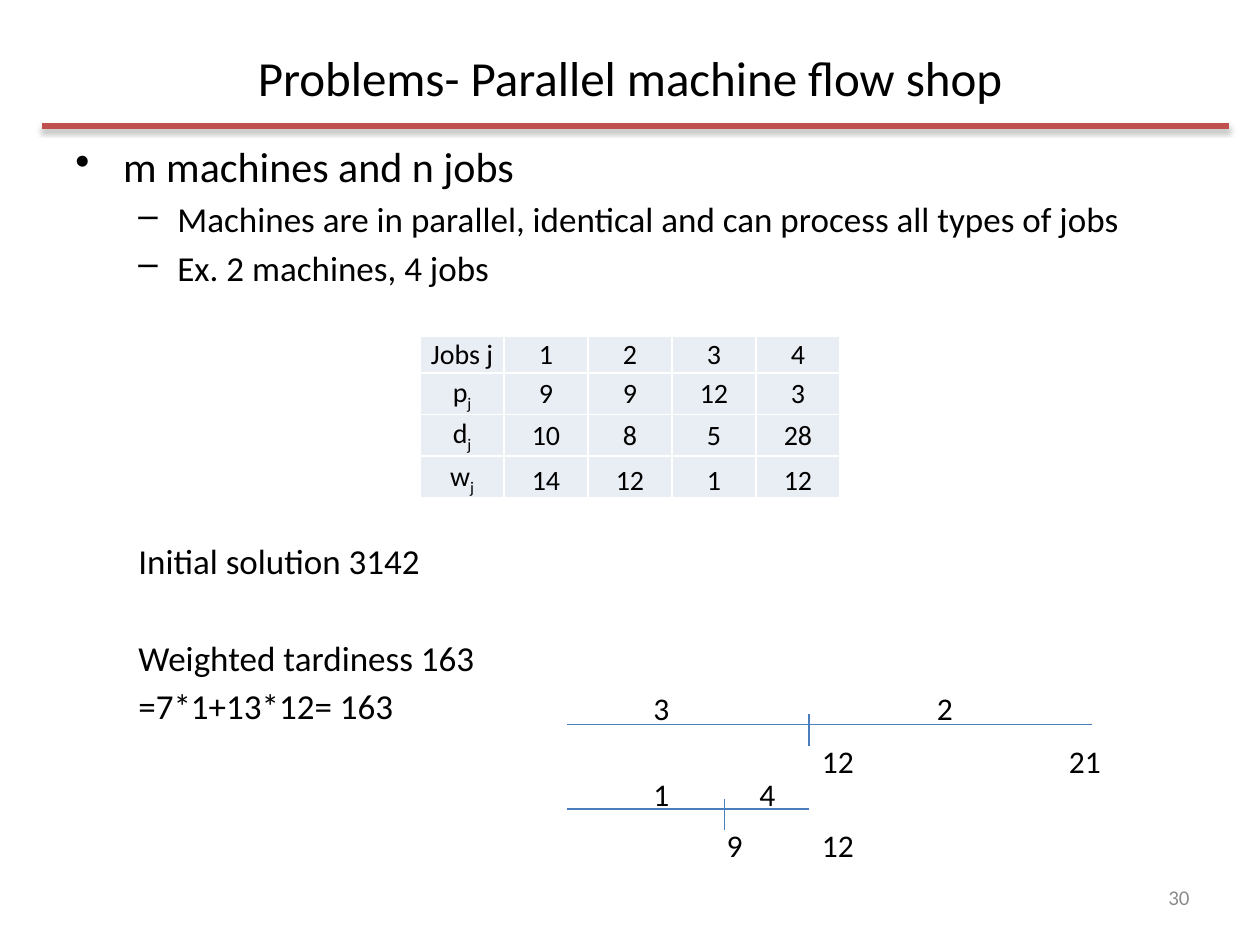
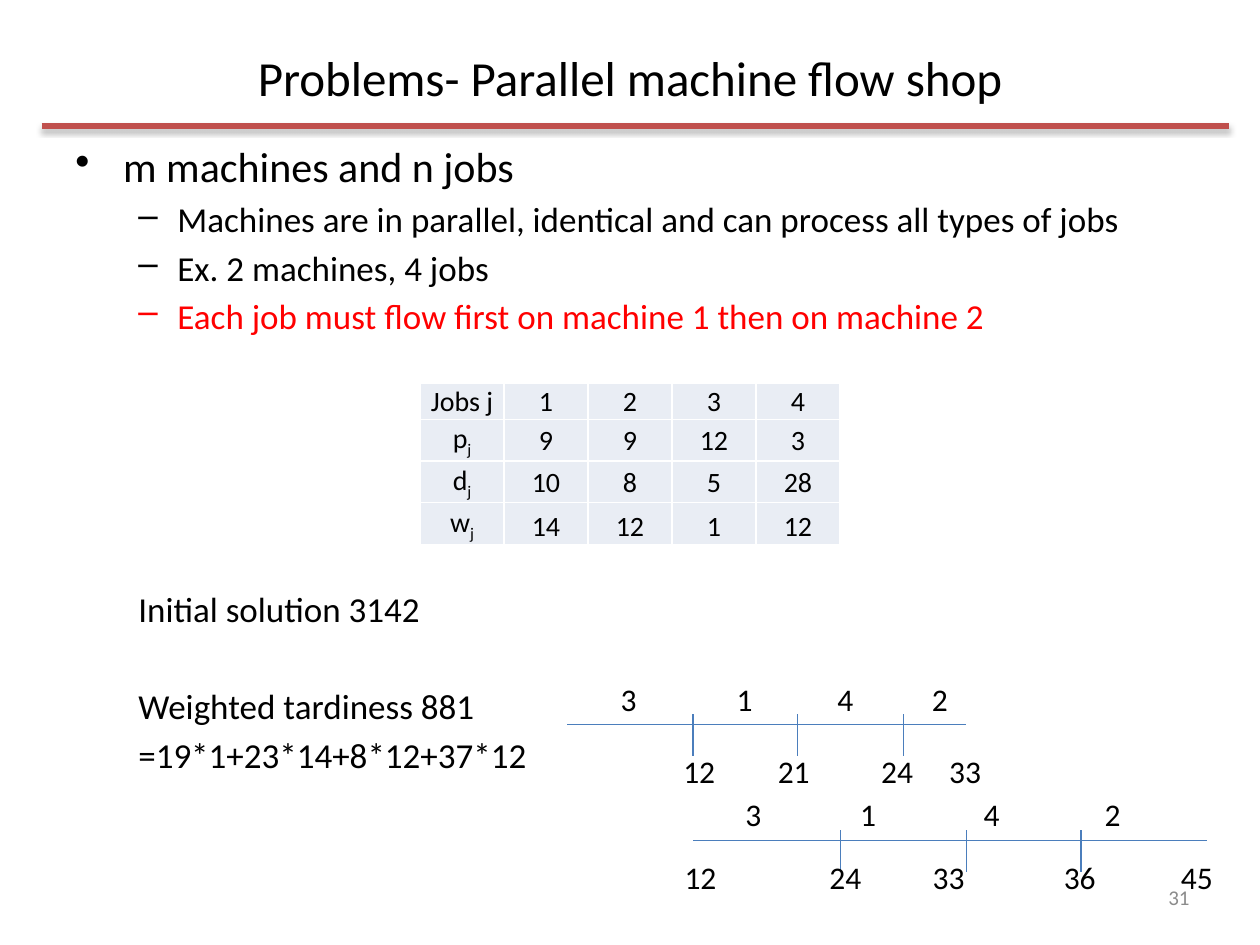
from lxml import etree
from pptx import Presentation
from pptx import util as u
from pptx.dml.color import RGBColor
from pptx.enum import shapes, text
from pptx.oxml.ns import qn

# Shared content and style
FONT = "Calibri"
BLACK, RED, GREY, RULE, BLUE, CELL, WHITE = (
    "000000", "FF0000", "8C8C8C", "C0504D", "4B7EBC", "E9EDF4", "FFFFFF")
WIDTH, HEIGHT = 10, 7.5
TITLE = "Problems- Parallel machine flow shop"
LINE_GAP, BLANK_LINE = 3.6, 28  # points
LEVELS = {  # margin, first-line indent (inches), bullet, size
    "main": (0.38, -0.38, "•", 24),
    "sub": (0.81, -0.31, "–", 20),
    "plain": (0.5, 0, None, 20),
}
BULLETS = [
    ("main", "m machines and n jobs"),
    ("sub", "Machines are in parallel, identical and can process all types of jobs"),
    ("sub", "Ex. 2 machines, 4 jobs"),
]
JOBS = [
    ["Jobs j", 1, 2, 3, 4],
    ["p_j", 9, 9, 12, 3],
    ["d_j", 10, 8, 5, 28],
    ["w_j", 14, 12, 1, 12],
]
COLUMN_WIDTH, ROW_HEIGHTS = WIDTH / 15, [0.29, 0.33, 0.33, 0.33]

# Content of each slide; labels on a machine's line are (text, centre x)
SLIDES = [
    dict(number=30, table_top=2.67, extra=[], tick_drop=0.17,
         results=["Initial solution 3142", "Weighted tardiness 163", "=7*1+13*12= 163"],
         machines=[
             dict(y=5.75, span=(4.5, 8.67), ticks=[6.42], rise=0.13, drop=0.29,
                  jobs=[("3", 5.25), ("2", 7.5)], times=[("12", 6.65), ("21", 8.61)]),
             dict(y=6.42, span=(4.5, 6.42), ticks=[5.75], rise=0.12, drop=0.29,
                  jobs=[("1", 5.25), ("4", 6.09)], times=[("9", 5.83), ("12", 6.65)]),
         ]),
    dict(number=31, table_top=3.04, tick_drop=0.25,
         extra=["Each job must flow first on machine 1 then on machine 2"],
         results=["Initial solution 3142", "Weighted tardiness 881", "=19*1+23*14+8*12+37*12"],
         machines=[
             dict(y=5.75, span=(4.5, 7.67), ticks=[5.5, 6.33, 7.17], rise=0.2, drop=0.37,
                  jobs=[("3", 4.99), ("1", 5.91), ("4", 6.71), ("2", 7.46)],
                  times=[("12", 5.55), ("21", 6.3), ("24", 7.12), ("33", 7.66)]),
             dict(y=6.67, span=(5.5, 9.58), ticks=[6.67, 7.67, 8.58], rise=0.21, drop=0.29,
                  jobs=[("3", 5.98), ("1", 6.89), ("4", 7.87), ("2", 8.83)],
                  times=[("12", 5.56), ("24", 6.71), ("33", 7.53), ("36", 8.57), ("45", 9.5)]),
         ]),
]


def color(value):
    return RGBColor.from_string(value)


def child(parent, tag, **attributes):
    return etree.SubElement(parent, qn(tag), {k: str(v) for k, v in attributes.items()})


def write(paragraph, content, size=18, tint=BLACK, align=text.PP_ALIGN.LEFT):
    """Fill a paragraph; whatever follows an underscore becomes a subscript."""
    paragraph.alignment = align
    for index, part in enumerate(content.split("_")):
        run = paragraph.add_run()
        run.text = part
        run.font.name, run.font.size = FONT, u.Pt(size)
        run.font.color.rgb = color(tint)
        if index:
            run.font._element.set("baseline", "-25000")


def add_box(slide, left, top, width, height, wrap=True, anchor=text.MSO_ANCHOR.TOP):
    shape = slide.shapes.add_textbox(*map(u.Inches, (left, top, width, height)))
    frame = shape.text_frame
    frame.word_wrap, frame.vertical_anchor = wrap, anchor
    return frame


def add_line(slide, start, end, tint=BLUE, weight=0.75, shadow=False):
    line = slide.shapes.add_connector(
        shapes.MSO_CONNECTOR.STRAIGHT, *map(u.Inches, (*start, *end)))
    line.line.color.rgb, line.line.width = color(tint), u.Pt(weight)
    effects = child(line._element.spPr, "a:effectLst")
    if shadow:
        outer = child(effects, "a:outerShdw", blurRad=u.Pt(3.1), dist=u.Pt(1.8),
                      dir=5400000, rotWithShape=0)
        child(child(outer, "a:srgbClr", val=BLACK), "a:alpha", val=35000)


def add_frame(slide, number):
    """Title, rule and slide number."""
    add_line(slide, (0.33, 1), (9.75, 1), RULE, 3, shadow=True)
    title = add_box(slide, 0.5, 0.3, 9, 0.62, anchor=text.MSO_ANCHOR.MIDDLE)
    write(title.paragraphs[0], TITLE, size=28, align=text.PP_ALIGN.CENTER)
    footer = add_box(slide, 7.21, 6.92, 2.33, 0.4, anchor=text.MSO_ANCHOR.MIDDLE)
    write(footer.paragraphs[0], str(number), size=12, tint=GREY, align=text.PP_ALIGN.RIGHT)


def add_body(slide, extra, results):
    """Bullets, room for the table, then the results."""
    rows = [(level, line, BLACK, 0) for level, line in BULLETS]
    rows += [("sub", line, RED, 0) for line in extra]
    rows += [("plain", line, BLACK, blanks) for line, blanks in zip(results, (5, 1, 0))]
    frame = add_box(slide, 0.5, 1.07, 9, 5.83)
    for index, (level, line, tint, blanks) in enumerate(rows):
        margin, indent, bullet, size = LEVELS[level]
        paragraph = frame.add_paragraph() if index else frame.paragraphs[0]
        properties = paragraph._p.get_or_add_pPr()
        properties.set("marL", str(u.Inches(margin)))
        properties.set("indent", str(u.Inches(indent)))
        if bullet:
            child(properties, "a:buChar", char=bullet)
        if index:
            paragraph.space_before = u.Pt(LINE_GAP + blanks * BLANK_LINE)
        write(paragraph, line, size=size, tint=tint)


def style_cell(cell, anchor):
    cell.vertical_anchor = anchor
    cell.margin_left = cell.margin_right = cell.margin_top = u.Inches(0.01)
    cell.margin_bottom = 0
    properties = cell._tc.get_or_add_tcPr()
    for side in ("L", "R", "T", "B"):
        border = child(properties, f"a:ln{side}", w=u.Pt(1))
        child(child(border, "a:solidFill"), "a:srgbClr", val=WHITE)
    cell.fill.solid()
    cell.fill.fore_color.rgb = color(CELL)


def add_jobs_table(slide, top):
    columns = len(JOBS[0])
    width = columns * COLUMN_WIDTH
    table = slide.shapes.add_table(len(JOBS), columns, *map(
        u.Inches, ((WIDTH - width) / 2, top, width, sum(ROW_HEIGHTS)))).table
    table.first_row = table.horz_banding = False
    for column in table.columns:
        column.width = u.Inches(COLUMN_WIDTH)
    for r, (values, height) in enumerate(zip(JOBS, ROW_HEIGHTS)):
        table.rows[r].height = u.Inches(height)
        last = r == len(JOBS) - 1
        anchor = text.MSO_ANCHOR.BOTTOM if last else text.MSO_ANCHOR.MIDDLE
        for c, value in enumerate(values):
            cell = table.cell(r, c)
            style_cell(cell, anchor)
            write(cell.text_frame.paragraphs[0], str(value), size=16,
                  align=text.PP_ALIGN.CENTER)


def add_machine(slide, tick_drop, y, span, ticks, rise, drop, jobs, times):
    """One machine's time line: jobs above, completion times below."""
    add_line(slide, (span[0], y), (span[1], y))
    for x in ticks:
        add_line(slide, (x, y - 0.08), (x, y + tick_drop))
    for labels, middle in ((jobs, y - rise), (times, y + drop)):
        for label, x in labels:
            width, height = 0.46, 0.4
            frame = add_box(slide, x - width / 2, middle - height / 2, width, height, wrap=False)
            write(frame.paragraphs[0], label, align=text.PP_ALIGN.CENTER)


def main():
    presentation = Presentation()
    presentation.slide_width, presentation.slide_height = u.Inches(WIDTH), u.Inches(HEIGHT)
    for content in SLIDES:
        slide = presentation.slides.add_slide(presentation.slide_layouts[6])
        add_frame(slide, content["number"])
        add_body(slide, content["extra"], content["results"])
        add_jobs_table(slide, content["table_top"])
        for machine in content["machines"]:
            add_machine(slide, content["tick_drop"], **machine)
    presentation.save("out.pptx")


if __name__ == "__main__":
    main()
